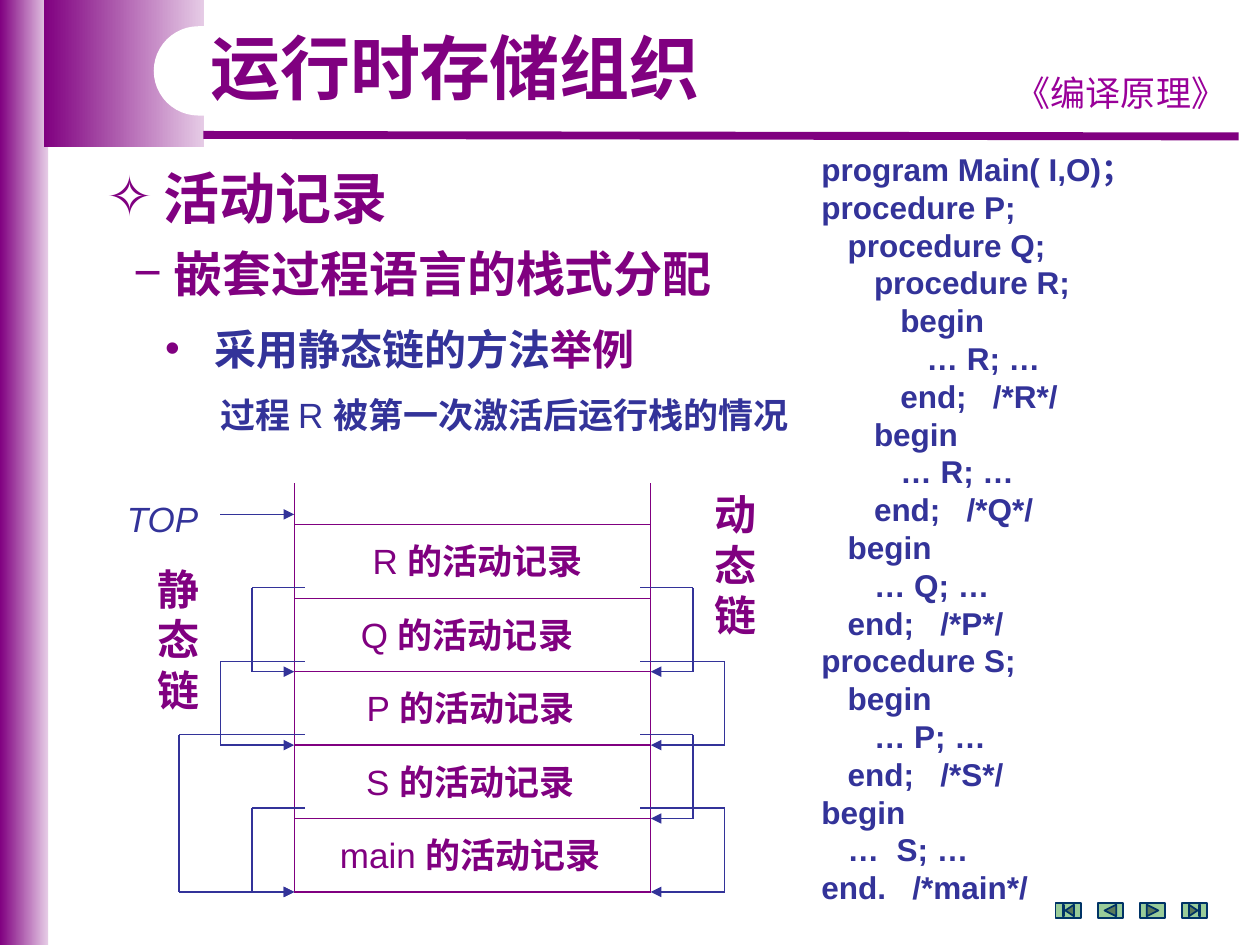
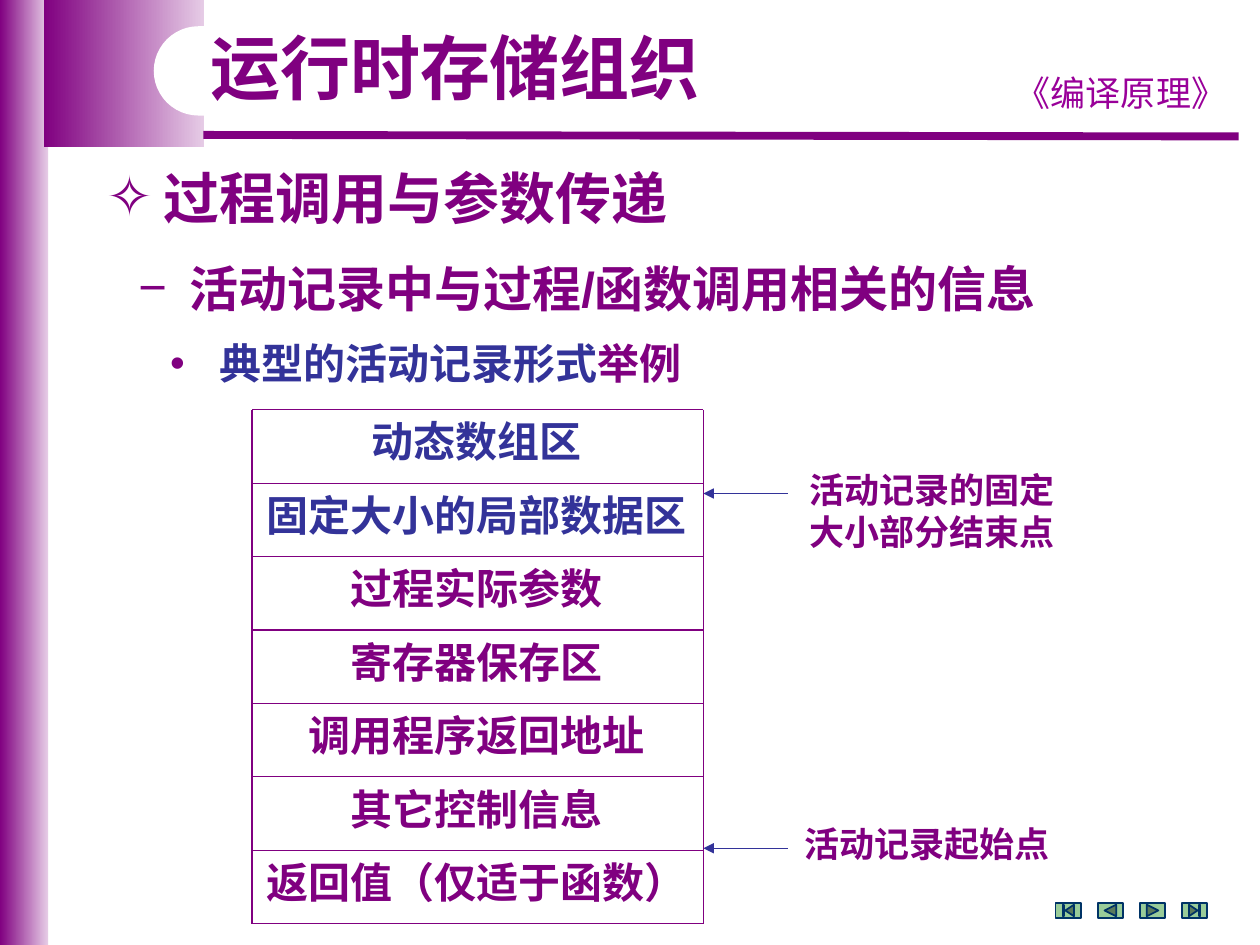
import dataclasses

import lxml.etree
import pptx
import pptx.dml.color
import pptx.enum.shapes
import pptx.enum.text
import pptx.oxml.ns
import pptx.util

Cm = pptx.util.Cm
Pt = pptx.util.Pt
qn = pptx.oxml.ns.qn
Shapes = pptx.enum.shapes.MSO_SHAPE
LEFT = pptx.enum.text.PP_ALIGN.LEFT
CENTER = pptx.enum.text.PP_ALIGN.CENTER


@dataclasses.dataclass(frozen=True)
class Theme:
    purple: str = "800080"
    lilac: str = "E6CCE6"
    magenta: str = "990099"
    indigo: str = "333399"
    white: str = "FFFFFF"
    button_fill: str = "99CC99"
    button_line: str = "003366"
    latin_font: str = "Arial"
    asian_font: str = "Noto Sans CJK SC"
    title: int = 40
    topic: int = 32
    subtopic: int = 28
    detail: int = 24
    label: int = 20
    code: int = 18
    thin: float = 0.75
    thick: float = 4.5


theme = Theme()
rgb = pptx.dml.color.RGBColor.from_string


def add_text(slide, box, paragraphs, size, color=theme.purple, alignment=LEFT, spacing=1.2):
    """Each paragraph is a dict: runs as (text, font values), plus optional layout values."""
    shape = slide.shapes.add_textbox(*(Cm(length) for length in box))
    frame = shape.text_frame
    frame.word_wrap = True
    for index, content in enumerate(paragraphs):
        paragraph = frame.paragraphs[0] if index == 0 else frame.add_paragraph()
        paragraph_size = content.get("size", size)
        layout = {"alignment": alignment, "line_spacing": Pt(paragraph_size * spacing),
                  "space_before": Pt(content.get("before", 0))}
        for name, value in layout.items():
            setattr(paragraph, name, value)
        properties = paragraph._p.get_or_add_pPr()
        margin, first = content.get("indent", (0, 0))
        properties.set("marL", str(Cm(margin)))
        properties.set("indent", str(Cm(first - margin)))
        if "bullet" in content:
            bullet_color = lxml.etree.SubElement(properties, qn("a:buClr"))
            lxml.etree.SubElement(bullet_color, qn("a:srgbClr"), val=theme.purple)
            lxml.etree.SubElement(properties, qn("a:buFont"), typeface=theme.latin_font)
            lxml.etree.SubElement(properties, qn("a:buChar"), char=content["bullet"])
        for text, values in content["runs"]:
            run = paragraph.add_run()
            run.text = text
            font_values = {"name": theme.latin_font, "size": Pt(paragraph_size), "bold": True, **values}
            run.font.color.rgb = rgb(font_values.pop("color", color))
            for name, value in font_values.items():
                setattr(run.font, name, value)
            lxml.etree.SubElement(run._r.get_or_add_rPr(), qn("a:ea"), typeface=theme.asian_font)


def add_line(slide, start, end, color=theme.purple, width=theme.thin, arrow=False):
    ends = [Cm(length) for length in (*start, *end)]
    connector = slide.shapes.add_connector(pptx.enum.shapes.MSO_CONNECTOR.STRAIGHT, *ends)
    connector.line.color.rgb = rgb(color)
    connector.line.width = Pt(width)
    properties = connector._element.spPr
    if arrow:
        lxml.etree.SubElement(properties.find(qn("a:ln")), qn("a:tailEnd"), type="triangle")
    lxml.etree.SubElement(properties, qn("a:effectLst"))


presentation = pptx.Presentation()
presentation.slide_width = Cm(25.4)
presentation.slide_height = Cm(19.05)

plain = {"bold": False}
outlines = [
    {"topic": "活动记录", "subtopic": "嵌套过程语言的栈式分配", "detail": "采用静态链的方法",
     "box": (2.44, 4.78, 13.44, 2.87), "hang": 0.81},
    {"topic": "过程调用与参数传递", "subtopic": "活动记录中与过程/函数调用相关的信息",
     "detail": "典型的活动记录形式", "box": (2.54, 5.08, 21.79, 2.87), "hang": 1.04},
]
bands = [(0, 0, 0.97, 19.05), (0.89, 0, 3.23, 2.97)]
buttons = [Shapes.ACTION_BUTTON_BEGINNING, Shapes.ACTION_BUTTON_BACK_OR_PREVIOUS,
           Shapes.ACTION_BUTTON_FORWARD_OR_NEXT, Shapes.ACTION_BUTTON_END]

# Shared frame, title and outline of both slides
for outline in outlines:
    slide = presentation.slides.add_slide(presentation.slide_layouts[6])

    # Gradient bands
    for band in bands:
        shape = slide.shapes.add_shape(Shapes.RECTANGLE, *(Cm(length) for length in band))
        shape.shadow.inherit = False
        shape.line.fill.background()
        shape.fill.gradient()
        shape.fill.gradient_angle = 0
        for stop, color in zip(shape.fill.gradient_stops, (theme.purple, theme.lilac)):
            stop.color.rgb = rgb(color)

    # Rule, course name and title
    add_line(slide, (4.1, 2.72), (24.97, 2.75), width=theme.thick)
    add_text(slide, (20.1, 1.32, 5, 1.09),
             [{"runs": [("《编译原理》", {"bold": False, "name": theme.asian_font})]}],
             theme.label, theme.magenta, CENTER)
    shape = slide.shapes.add_shape(Shapes.ROUNDED_RECTANGLE, Cm(3.1), Cm(0.53), Cm(9.19), Cm(1.8))
    shape.adjustments[0] = 0.5
    shape.shadow.inherit = False
    shape.fill.solid()
    shape.fill.fore_color.rgb = rgb(theme.white)
    shape.line.fill.background()
    add_text(slide, (3.99, 0.53, 10.52, 1.78), [{"runs": [("运行时存储组织", {})]}],
             theme.title, spacing=1.08)

    # Outline
    add_text(slide, (1.9, 3.18, 18.62, 1.6),
             [{"runs": [(outline["topic"], {})], "bullet": "✧", "indent": (1.14, 0)}], theme.topic)
    add_text(slide, outline["box"], [
        {"runs": [(outline["subtopic"], {})], "bullet": "−", "indent": (outline["hang"], 0)},
        {"runs": [(outline["detail"], {"color": theme.indigo}), ("举例", {})], "bullet": "•",
         "indent": (1.63, 0.64), "size": theme.detail, "before": 12},
    ], theme.subtopic)

    # Navigation buttons
    for index, button in enumerate(buttons):
        shape = slide.shapes.add_shape(button, Cm(21.28 + 0.85 * index), Cm(18.2), Cm(0.51), Cm(0.31))
        shape.shadow.inherit = False
        shape.fill.solid()
        shape.fill.fore_color.rgb = rgb(theme.button_fill)
        shape.line.color.rgb = rgb(theme.button_line)
        shape.line.width = Pt(1)

stack_slide, record_slide = presentation.slides
row_height = 1.48

# Slide 1: run-time stack
stack_left, stack_right, stack_top = 5.93, 13.12, 10.58
records = [("R", 6.22), ("Q", 6), ("P", 6.07), ("S", 6.07), ("main", 6.07)]
stack_edges = [stack_top + row_height * index for index in range(len(records) + 1)]
for x in (stack_left, stack_right):
    add_line(stack_slide, (x, 9.74), (x, stack_edges[-1]))
for y in stack_edges:
    add_line(stack_slide, (stack_left, y), (stack_right, y))
for (name, left), y in zip(records, stack_edges):
    add_text(stack_slide, (left, y + 0.18, 6.83, 1.09),
             [{"runs": [(name + " ", plain), ("的活动记录", {})]}], theme.label, alignment=CENTER)

# Static links on the left, dynamic links on the right: x of the bend, caller edge, target edge
static_links = [(5.08, 1, 2), (4.44, 2, 3), (3.61, 3, 5), (5.08, 4, 5)]
dynamic_links = [(13.97, 1, 2), (14.61, 2, 3), (13.97, 3, 4), (14.61, 4, 5)]
for side, inner, links in ((stack_left, 0.21, static_links), (stack_right, -0.21, dynamic_links)):
    for bend, source, target in links:
        y_start, y_end = stack_edges[source] - 0.21, stack_edges[target]
        add_line(stack_slide, (side + inner, y_start), (bend, y_start), theme.indigo)
        add_line(stack_slide, (bend, y_start), (bend, y_end), theme.indigo)
        add_line(stack_slide, (bend, y_end), (side, y_end), theme.indigo, arrow=True)

# Stack captions
add_line(stack_slide, (4.44, 10.37), (stack_left, 10.37), theme.indigo, arrow=True)
add_text(stack_slide, (2.11, 9.91, 2.34, 1.09), [{"runs": [("TOP", {"bold": False, "italic": True})]}],
         theme.label, theme.indigo, CENTER)
for caption, left, top in (("静态链", 2.74, 11.23), ("动态链", 13.97, 9.73)):
    add_text(stack_slide, (left, top, 1.7, 3.33), [{"runs": [(caption, {})]}],
             theme.detail, alignment=CENTER)
add_text(stack_slide, (3.84, 7.8, 12.67, 1.09),
         [{"runs": [("过程 ", {}), ("R ", plain), ("被第一次激活后运行栈的情况", {})]}],
         theme.label, theme.indigo, CENTER)

# Program listing: nesting level and statement
program = [
    (0, "program Main( I,O)；"), (0, "procedure P;"), (1, "procedure Q;"), (2, "procedure R;"),
    (3, "begin"), (4, "… R; …"), (3, "end;   /*R*/"),
    (2, "begin"), (3, "… R; …"), (2, "end;   /*Q*/"),
    (1, "begin"), (2, "… Q; …"), (1, "end;   /*P*/"),
    (0, "procedure S;"), (1, "begin"), (2, "… P; …"), (1, "end;   /*S*/"),
    (0, "begin"), (1, "…  S; …"), (0, "end.   /*main*/"),
]
add_text(stack_slide, (16.31, 2.9, 6.98, 15.52),
         [{"runs": [(statement, {})], "indent": (0.53 * level, 0.53 * level)}
          for level, statement in program], theme.code, theme.indigo)

# Slide 2: layout of an activation record
record_left, record_right, record_top = 5.08, 14.18, 8.26
fields = [("动态数组区", theme.indigo), ("固定大小的局部数据区", theme.indigo),
          ("过程实际参数", theme.purple), ("寄存器保存区", theme.purple),
          ("调用程序返回地址", theme.purple), ("其它控制信息", theme.purple),
          ("返回值（仅适于函数）", theme.purple)]
record_edges = [record_top + row_height * index for index in range(len(fields) + 1)]
for x in (record_left, record_right):
    add_line(record_slide, (x, record_top), (x, record_edges[-1]))
for y in record_edges:
    add_line(record_slide, (record_left, y), (record_right, y))
for (field, color), y in zip(fields, record_edges):
    add_text(record_slide, (record_left, y, 9.04, 1.27), [{"runs": [(field, {})]}],
             theme.detail, color, CENTER)

# Start and end markers
markers = [("活动记录的固定大小部分结束点", (15.88, 9.32, 5.82, 1.96), 9.95),
           ("活动记录起始点", (15.67, 16.46, 6.05, 1.09), 17.1)]
for marker, box, y in markers:
    add_text(record_slide, box, [{"runs": [(marker, {})]}], theme.label, alignment=CENTER)
    add_line(record_slide, (15.88, y), (record_right, y), theme.indigo, arrow=True)

presentation.save("out.pptx")
